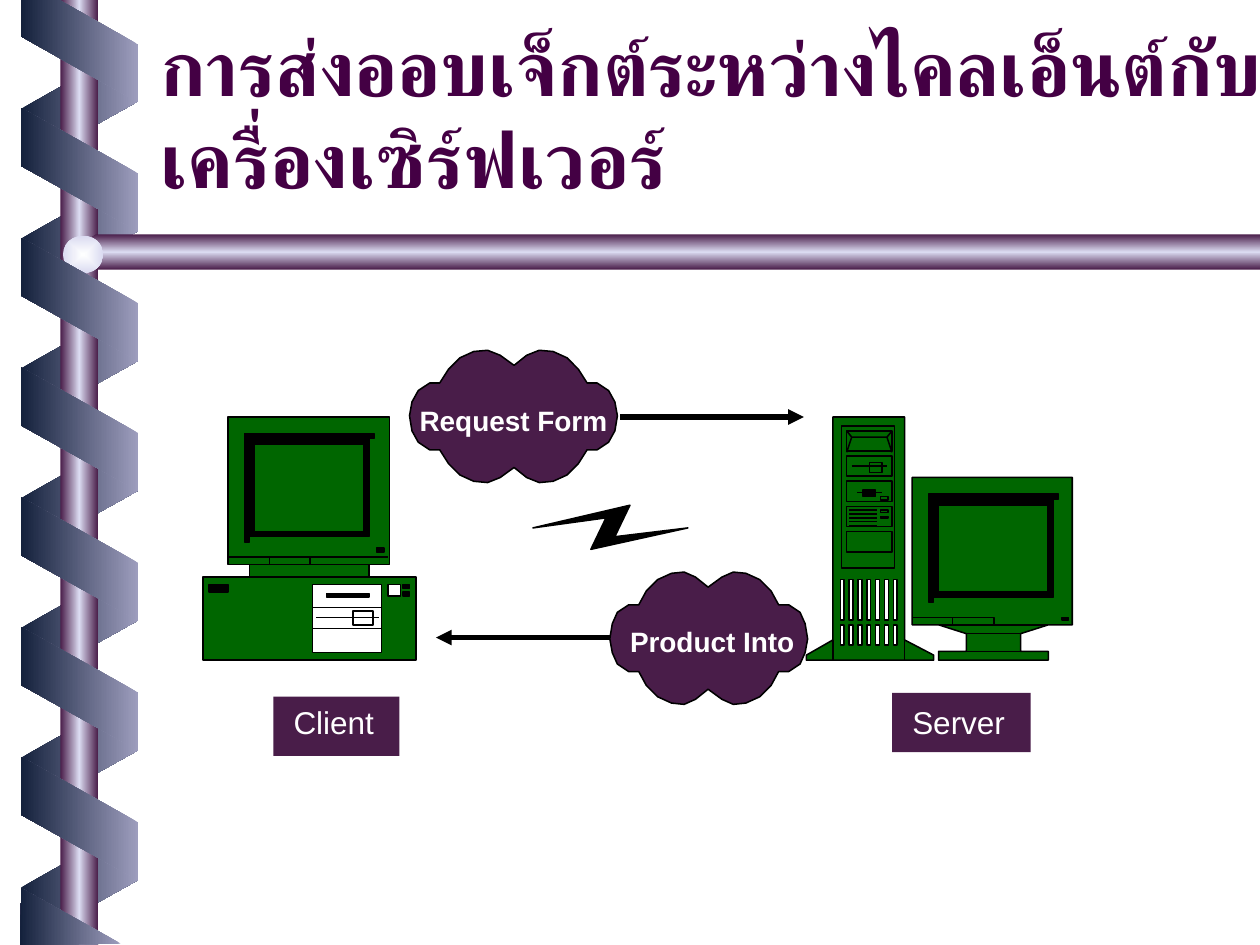
from lxml.etree import SubElement
from pptx import Presentation
from pptx.dml.color import RGBColor
from pptx.enum.shapes import MSO_CONNECTOR, MSO_SHAPE
from pptx.enum.text import MSO_ANCHOR, MSO_AUTO_SIZE, PP_ALIGN
from pptx.oxml.ns import qn
from pptx.util import Inches, Pt

COLORS = {
    "plum": "491D49", "lavender": "DBDBF1", "navy": "14213C", "haze": "9D9DBD",
    "pearl": "FEFFFF", "title": "440044", "green": "006600",
    "black": "000000", "white": "FFFFFF",
}
TUBE = ["plum", "lavender", "plum"]
FRONT = ["haze", "navy"]
HAIRLINE = 0.88
MONITOR_WIDTH, MONITOR_HEIGHT = 1.27, 1.17
CLOUD_QUARTER = [
    (0, 0.78), (0.13, 0.92), (0.25, 1), (0.38, 0.98), (0.52, 0.89), (0.63, 0.72),
    (0.71, 0.5), (0.81, 0.51), (0.92, 0.39), (0.98, 0.22), (1, 0),
]


def rgb(name):
    return RGBColor.from_string(COLORS[name])


def box(left, top, width, height):
    """Closed contour of a rectangle."""
    right, bottom = left + width, top + height
    return [(left, top), (right, top), (right, bottom), (left, bottom), (left, top)]


def row(y, left, right):
    return [(left, y), (right, y)]


def column(x, top, bottom):
    return [(x, top), (x, bottom)]


def paint(shape, fill=None, line=None):
    shape.shadow.inherit = False
    if fill:
        shape.fill.solid()
        shape.fill.fore_color.rgb = rgb(fill)
    else:
        shape.fill.background()
    if line:
        shape.line.color.rgb = rgb("black")
        shape.line.width = Pt(line)
    else:
        shape.line.fill.background()


def paint_gradient(shape, names, angle=None):
    """Blend evenly spaced colours; without an angle, from the centre outwards."""
    paint(shape)
    shape.fill.gradient()
    gradient = shape.element.spPr.find(qn("a:gradFill"))
    for child in list(gradient):
        gradient.remove(child)
    gradient.set("rotWithShape", "0")
    stops = SubElement(gradient, qn("a:gsLst"))
    for index, name in enumerate(names):
        position = str(100000 * index // (len(names) - 1))
        stop = SubElement(stops, qn("a:gs"), {"pos": position})
        SubElement(stop, qn("a:srgbClr"), {"val": COLORS[name]})
    if angle is None:
        centre = SubElement(gradient, qn("a:path"), {"path": "rect"})
        SubElement(centre, qn("a:fillToRect"), dict.fromkeys("ltrb", "50000"))
    else:
        SubElement(gradient, qn("a:lin"), {"ang": str(angle * 60000), "scaled": "1"})


def add_preset(slide, kind, *place):
    return slide.shapes.add_shape(kind, *map(Inches, place))


def add_outline(slide, contours, fill=None, line=HAIRLINE):
    """Draw contours in inches; one that returns to its start is closed."""
    builder = None
    for contour in contours:
        points = [(x * 100, y * 100) for x, y in contour]
        if builder is None:
            builder = slide.shapes.build_freeform(*points[0], scale=Inches(0.01))
        else:
            builder.move_to(*points[0])
        builder.add_line_segments(points[1:], close=contour[0] == contour[-1])
    shape = builder.convert_to_shape()
    paint(shape, fill, line)
    return shape


def add_text(slide, text, left, top, width, height, wrap=True, **font_format):
    shape = slide.shapes.add_textbox(*map(Inches, (left, top, width, height)))
    write(shape.text_frame, text, font_format, word_wrap=wrap, margin_left=0,
          margin_right=0, margin_top=0, margin_bottom=0,
          auto_size=MSO_AUTO_SIZE.SHAPE_TO_FIT_TEXT)


def write(frame, text, font_format, color="white", **frame_format):
    for name, value in frame_format.items():
        setattr(frame, name, value)
    paragraph = frame.paragraphs[0]
    paragraph.alignment = PP_ALIGN.LEFT
    run = paragraph.add_run()
    run.text = text
    for name, value in {"name": "Arial", **font_format}.items():
        setattr(run.font, name, value)
    run.font.color.rgb = rgb(color)


def add_helix(slide, first_top, count, rotation, names, flip=False):
    for index in range(count):
        strip = add_preset(slide, MSO_SHAPE.PARALLELOGRAM,
                           0.14, first_top + 1.03 * index, 0.98, 0.93)
        strip.adjustments[0] = 0.56
        strip.rotation = rotation
        if flip:
            strip.element.spPr.xfrm.set("flipH", "1")
        paint_gradient(strip, names, 180)


def add_decoration(slide):
    add_helix(slide, 0.37, 7, 90, FRONT[::-1], flip=True)
    pole = add_preset(slide, MSO_SHAPE.RECTANGLE, 0.48, 0, 0.3, 7.5)
    paint_gradient(pole, TUBE, 180)
    bar = add_outline(slide, [[(10, 1.86), (0.76, 1.86), (0.6, 2), (0.76, 2.14),
                               (10, 2.14), (10, 1.86)]])
    paint_gradient(bar, TUBE, 90)
    ball = add_preset(slide, MSO_SHAPE.OVAL, 0.5, 1.87, 0.32, 0.3)
    paint_gradient(ball, ["pearl", "lavender"])
    add_helix(slide, 0.88, 6, 270, FRONT)
    for end in ([(0.17, 0), (0.17, 0.29), (1.09, 0.81), (1.09, 0.35), (0.47, 0), (0.17, 0)],
                [(0.96, 7.49), (0.17, 7.05), (0.16, 7.5), (0.96, 7.49)]):
        paint_gradient(add_outline(slide, [end]), FRONT, 180)


def bezel(left, top):
    """Contours of the dark frame around the screen of a monitor."""
    frame = [(0.17, 0.95), (1.12, 0.95), (1.12, 0.17), (1.16, 0.17), (1.16, 0.13),
             (0.13, 0.13), (0.13, 0.99), (0.17, 0.99), (0.17, 0.95)]
    return [box(left + 0.21, top + 0.22, 0.87, 0.69),
            [(left + x, top + y) for x, y in frame]]


def add_client(slide):
    left, top = 1.81, 3.31
    chin, bottom = top + 1.11, top + MONITOR_HEIGHT
    add_outline(slide, [[
        (1.98, 4.58), (1.61, 4.58), (1.61, 5.24), (3.3, 5.24), (3.3, 4.58), (2.93, 4.58),
        (2.93, bottom), (3.09, bottom), (3.09, top), (left, top), (left, bottom),
        (1.98, bottom), (1.98, 4.58)]], "green")
    add_outline(slide, [row(y, 1.98, 2.93) for y in (4.58, bottom)])
    add_outline(slide, [box(2.48, 4.64, 0.55, 0.54), box(3.08, 4.64, 0.1, 0.09)], "white")
    add_outline(slide, [row(4.82, 2.48, 3.03), row(4.99, 2.48, 3.03),
                        row(4.9, 2.51, 3.01), box(2.8, 4.85, 0.16, 0.11)])
    buttons = [box(3.2, y, 0.05, 0.03) for y in (4.64, 4.7)]
    add_outline(slide, [box(2.99, 4.35, 0.06, 0.03), *bezel(left, top),
                        box(1.66, 4.64, 0.15, 0.06), box(2.59, 4.71, 0.34, 0.03),
                        *buttons], "black")
    add_outline(slide, [row(chin, left, left + MONITOR_WIDTH),
                        *[column(x, chin, bottom) for x in (2.14, 2.46)]])


def add_server(slide):
    left, top = 7.24, 3.79
    right, bottom = left + MONITOR_WIDTH, top + MONITOR_HEIGHT
    tower = [(6.4, 5.24), (6.4, 5.2), (6.61, 5.08), (6.61, 3.31), (7.18, 3.31),
             (7.18, 5.08), (7.41, 5.2), (7.41, 5.24), (6.4, 5.24)]
    monitor = [(left, bottom), (7.45, bottom), (7.67, 5.03), (7.67, 5.17), (7.45, 5.17),
               (7.45, 5.24), (8.32, 5.24), (8.32, 5.17), (8.1, 5.17), (8.1, 5.03),
               (8.32, bottom), (right, bottom), (right, top), (left, top), (left, bottom)]
    add_outline(slide, [tower, monitor], "green")
    add_outline(slide, [
        column(6.61, 5.08, 5.24), column(7.18, 5.08, 5.24), row(3.91, 6.8, 7),
        row(3.7, 6.76, 7.04), box(6.68, 3.38, 0.42, 1.13), row(5.17, 7.67, 8.1),
        row(5.03, 7.67, 8.1), row(bottom, 7.45, 8.32)])
    add_outline(slide, [box(6.67 + 0.07 * slot, y, 0.03, height)
                        for y, height in ((4.6, 0.32), (4.96, 0.16))
                        for slot in range(7)], "white")
    bays = [box(6.72, 3.42 + 0.2 * bay, 0.36, 0.16) for bay in range(5)]
    vents = [row(4.05 + 0.03 * vent, 6.74, 6.96) for vent in range(5)]
    add_outline(slide, [
        *bays, *vents, [(6.72, 3.42), (6.76, 3.47), (7.04, 3.47), (7.08, 3.42)],
        [(6.72, 3.59), (6.76, 3.47)], [(7.04, 3.47), (7.08, 3.59)],
        box(6.9, 3.67, 0.1, 0.08), box(6.99, 3.94, 0.06, 0.03),
        box(6.99, 4.05, 0.06, 0.02), box(6.99, 4.1, 0.06, 0.01)])
    add_outline(slide, [box(6.85, 3.89, 0.1, 0.05), box(8.43, 4.9, 0.05, 0.02),
                        *bezel(left, top)], "black")
    add_outline(slide, [[(left, 4.9), (7.89, 4.9), (7.89, bottom)],
                        column(7.56, 4.9, bottom)])


def add_label(slide, text, left, top, width, text_width):
    plate = add_preset(slide, MSO_SHAPE.RECTANGLE, left, top, width, 0.47)
    paint(plate, "plum")
    add_text(slide, text, left + 0.16, 5.58, text_width, 0.3, size=Pt(18))


def add_cloud(slide, text, left, top, width, text_left, text_width):
    half_width, half_height = width / 2, 0.525
    # Each quarter runs on from the last one, so every other is reversed.
    signs = [(1, -1), (1, 1), (-1, 1), (-1, -1)]
    points = [(left + half_width * (1 + sx * x), top + half_height * (1 + sy * y))
              for sx, sy in signs for x, y in CLOUD_QUARTER[::-sx * sy]]
    add_outline(slide, [points], "plum")
    add_text(slide, text, text_left, top + 0.42, text_width, 0.27, wrap=False,
             size=Pt(16), bold=True)


def add_arrow(slide, start, end, y):
    connector = slide.shapes.add_connector(
        MSO_CONNECTOR.STRAIGHT, *map(Inches, (start, y, end, y)))
    connector.line.color.rgb = rgb("black")
    connector.line.width = Pt(3)
    SubElement(connector.line._get_or_add_ln(), qn("a:tailEnd"), {"type": "triangle"})
    SubElement(connector.element.spPr, qn("a:effectLst"))


def add_title(slide, text):
    title = slide.shapes.title
    place = {"left": 1.17, "top": 0.42, "width": 9.08, "height": 1.25}
    for name, value in place.items():
        setattr(title, name, Inches(value))
    write(title.text_frame, text, {"size": Pt(44), "bold": True}, "title",
          vertical_anchor=MSO_ANCHOR.BOTTOM, auto_size=MSO_AUTO_SIZE.NONE, word_wrap=True)


def main():
    presentation = Presentation()
    presentation.slide_width, presentation.slide_height = Inches(10), Inches(7.5)
    slide = presentation.slides.add_slide(presentation.slide_layouts[5])
    add_decoration(slide)
    add_title(slide, "การส่งออบเจ็กต์ระหว่างไคลเอ็นต์กับเครื่องเซิร์ฟเวอร์")
    add_client(slide)
    add_label(slide, "Client", 2.17, 5.53, 1, 0.83)
    add_server(slide)
    add_label(slide, "Server", 7.08, 5.5, 1.1, 1.09)
    add_outline(slide, [[(4.23, 4.19), (5, 4.01), (4.88, 4.26), (5.46, 4.19),
                         (4.69, 4.36), (4.81, 4.11), (4.23, 4.19)]], "black")
    add_cloud(slide, "Request Form", 3.25, 2.78, 1.65, 3.33, 1.49)
    add_cloud(slide, "Product Into", 4.84, 4.54, 1.57, 5, 1.31)
    add_arrow(slide, 4.92, 6.38, 3.31)
    add_arrow(slide, 4.84, 3.46, 5.06)
    presentation.save("out.pptx")


if __name__ == "__main__":
    main()
